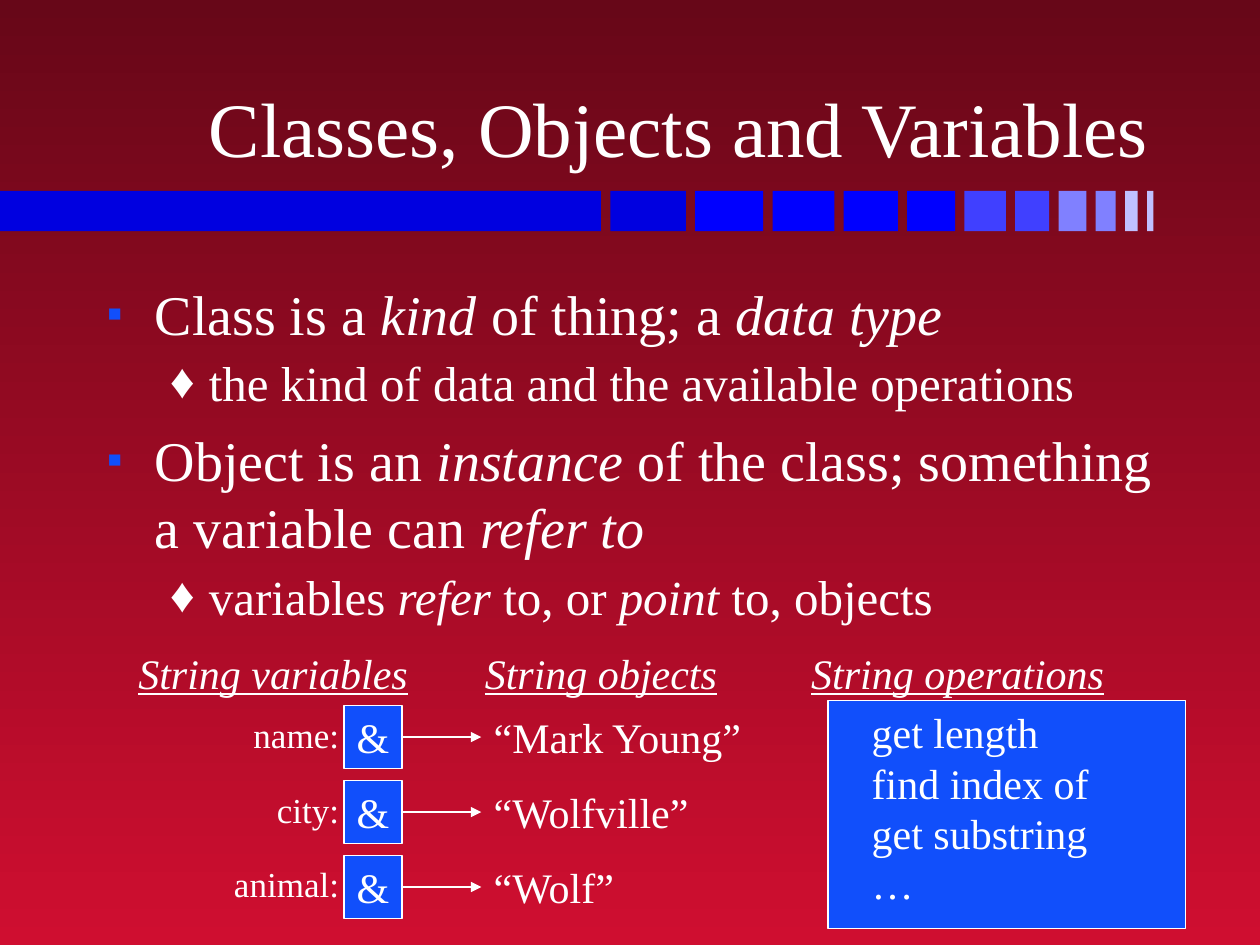
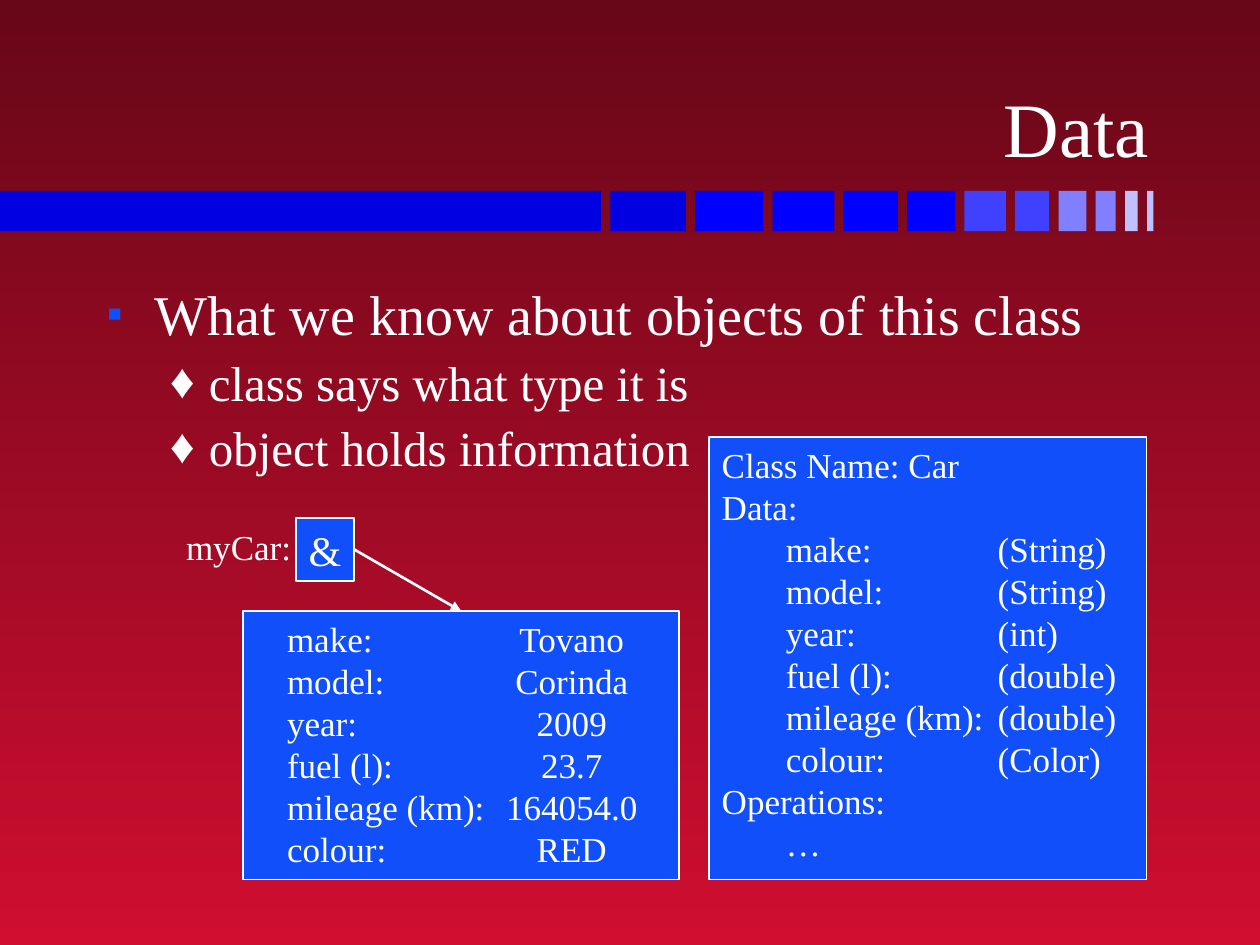
from dataclasses import dataclass
from typing import NamedTuple

from lxml.etree import SubElement
from pptx import Presentation
from pptx.dml.color import RGBColor
from pptx.enum.shapes import MSO_CONNECTOR, MSO_SHAPE
from pptx.enum.text import MSO_ANCHOR as Anchor, PP_ALIGN as Align
from pptx.oxml.ns import qn
from pptx.util import Inches, Length, Pt

FONT = "Times New Roman"
WHITE = "FFFFFF"
BLUE = "114FFB"
BACKGROUND = ("670718", "CF0E30")

# The slide is a grid of 100 columns and 75 rows.
SLIDE_WIDTH, SLIDE_HEIGHT = Inches(10), Inches(7.5)
COLUMN, ROW = SLIDE_WIDTH / 100, SLIDE_HEIGHT / 75

BAND_ROW, BAND_HEIGHT, BAND_GAP = 15.15, 3.2, 0.74
BAND_BLOCKS = (
    (47.7, "0000E0"), (6, "0000E0"),
    (5.4, "0000FF"), (4.9, "0000FF"), (4.3, "0000FF"), (3.8, "0000FF"),
    (3.3, "4040FF"), (2.7, "4040FF"),
    (2.2, "8080FF"), (1.6, "8080FF"),
    (1, "C0C0FF"), (0.5, "C0C0FF"),
)

REFERENCE_WIDTH, REFERENCE_HEIGHT = 4.6, 5
LABEL_WIDTH, LABEL_OVERLAP = 11, 0.6


class Place(NamedTuple):
    column: float
    row: float
    width: float
    height: float

    def lengths(self) -> tuple[Length, ...]:
        units = (COLUMN, ROW, COLUMN, ROW)
        return tuple(Length(round(size * unit)) for size, unit in zip(self, units))


TITLE_PLACE = Place(7.4, 1.9, 84.8, 12.3)
BODY_PLACE = Place(7.5, 21.7, 85, 45)


@dataclass(frozen=True)
class BulletStyle:
    mark: str
    mark_percent: int
    colour: str
    size: float
    left: float
    hanging: float
    before: float


BULLETS = (
    BulletStyle("▪", 80, BLUE, 32, 0.38, 0.38, 8),
    BulletStyle("♦", 100, WHITE, 28, 0.81, 0.31, 3.5),
)


class Point(NamedTuple):
    """A bullet line; words between asterisks are italic."""
    level: int
    text: str


class Tab(NamedTuple):
    inches: float
    align: str = "l"


@dataclass(frozen=True)
class Panel:
    place: Place
    size: float
    tabs: tuple[Tab, ...]
    lines: tuple[str, ...]


@dataclass(frozen=True)
class Variable:
    name: str
    column: float
    row: float

    @property
    def arrow_start(self) -> tuple[float, float]:
        return self.column + REFERENCE_WIDTH, self.row + REFERENCE_HEIGHT / 2


def rgb(colour: str) -> RGBColor:
    return RGBColor.from_string(colour)


def format_runs(paragraph, size: float) -> None:
    for span in paragraph.runs:
        span.font.name = FONT
        span.font.size = Pt(size)
        span.font.color.rgb = rgb(WHITE)


def add_text(page, place: Place, text: str, size: float, align=Align.LEFT,
             underlined_italic: bool = False) -> None:
    frame = page.shapes.add_textbox(*place.lengths()).text_frame
    frame.word_wrap = True
    frame.text = text
    paragraph = frame.paragraphs[0]
    paragraph.alignment = align
    format_runs(paragraph, size)
    if underlined_italic:
        paragraph.runs[0].font.italic = True
        paragraph.runs[0].font.underline = True


def add_rectangle(page, place: Place, fill: str, outlined: bool = False):
    box = page.shapes.add_shape(MSO_SHAPE.RECTANGLE, *place.lengths())
    box.shadow.inherit = False
    box.fill.solid()
    box.fill.fore_color.rgb = rgb(fill)
    if outlined:
        box.line.color.rgb = rgb(WHITE)
        box.line.width = Pt(1)
    else:
        box.line.fill.background()
    box.text_frame.vertical_anchor = Anchor.TOP
    return box


def add_band(page) -> None:
    column = 0
    for width, colour in BAND_BLOCKS:
        add_rectangle(page, Place(column, BAND_ROW, width, BAND_HEIGHT), colour)
        column += width + BAND_GAP


def add_bullet(paragraph, style: BulletStyle) -> None:
    properties = paragraph._p.get_or_add_pPr()
    properties.set("marL", str(Inches(style.left)))
    properties.set("indent", str(-Inches(style.hanging)))
    colour = SubElement(properties, qn("a:buClr"))
    SubElement(colour, qn("a:srgbClr"), val=style.colour)
    SubElement(properties, qn("a:buSzPct"), val=str(style.mark_percent * 1000))
    SubElement(properties, qn("a:buFont"), typeface=FONT)
    SubElement(properties, qn("a:buChar"), char=style.mark)


def add_body(page, points: tuple[Point, ...]) -> None:
    frame = page.shapes.add_textbox(*BODY_PLACE.lengths()).text_frame
    frame.word_wrap = True
    for index, point in enumerate(points):
        style = BULLETS[point.level]
        paragraph = frame.add_paragraph() if index else frame.paragraphs[0]
        paragraph.level = point.level
        add_bullet(paragraph, style)
        if index:
            paragraph.space_before = Pt(style.before)
        for part_index, part in enumerate(point.text.split("*")):
            if part:
                span = paragraph.add_run()
                span.text = part
                span.font.italic = part_index % 2 == 1
        format_runs(paragraph, style.size)


def add_panel(page, panel: Panel) -> None:
    frame = add_rectangle(page, panel.place, BLUE, outlined=True).text_frame
    frame.word_wrap = True
    frame.text = "\n".join(panel.lines)
    for paragraph in frame.paragraphs:
        tab_list = SubElement(paragraph._p.get_or_add_pPr(), qn("a:tabLst"))
        for tab in panel.tabs:
            SubElement(tab_list, qn("a:tab"), pos=str(Inches(tab.inches)), algn=tab.align)
        paragraph.alignment = Align.LEFT
        format_runs(paragraph, panel.size)


def add_arrow(page, start: tuple[float, float], end: tuple[float, float]) -> None:
    ends = Place(*start, *end).lengths()
    arrow = page.shapes.add_connector(MSO_CONNECTOR.STRAIGHT, *ends)
    arrow.line.color.rgb = rgb(WHITE)
    arrow.line.width = Pt(1.5)
    properties = arrow.element.spPr
    SubElement(properties.find(qn("a:ln")), qn("a:tailEnd"), type="triangle")
    SubElement(properties, qn("a:effectLst"))


def add_variable(page, variable: Variable, target: tuple[float, float]) -> None:
    """Draw a labelled reference box and the arrow to its object."""
    place = Place(variable.column, variable.row, REFERENCE_WIDTH, REFERENCE_HEIGHT)
    frame = add_rectangle(page, place, BLUE, outlined=True).text_frame
    frame.word_wrap = False
    frame.text = "&"
    frame.paragraphs[0].alignment = Align.CENTER
    format_runs(frame.paragraphs[0], 24)
    label_column = variable.column + LABEL_OVERLAP - LABEL_WIDTH
    label_place = Place(label_column, variable.row + 0.1, LABEL_WIDTH, 4.4)
    add_text(page, label_place, f"{variable.name}:", 20, Align.RIGHT)
    add_arrow(page, variable.arrow_start, target)


def add_page(deck, title: str, points: tuple[Point, ...]):
    page = deck.slides.add_slide(deck.slide_layouts[5])
    add_band(page)
    heading = page.shapes.title
    heading.left, heading.top, heading.width, heading.height = TITLE_PLACE.lengths()
    frame = heading.text_frame
    frame.text = title
    frame.vertical_anchor = Anchor.BOTTOM
    frame.paragraphs[0].alignment = Align.RIGHT
    format_runs(frame.paragraphs[0], 44)
    add_body(page, points)
    return page


def add_classes_page(deck) -> None:
    page = add_page(deck, "Classes, Objects and Variables", (
        Point(0, "Class is a *kind* of thing; a *data type*"),
        Point(1, "the kind of data and the available operations"),
        Point(0, "Object is an *instance* of the class; something a variable can *refer to*"),
        Point(1, "variables *refer* to, or *point* to, objects"),
    ))
    for column, heading in ((10, "String variables"), (37.5, "String objects"),
                            (63.4, "String operations")):
        add_text(page, Place(column, 50.9, 26, 5), heading, 24, underlined_italic=True)

    first_row, row_step, object_column = 56, 5.95, 38.2
    strings = (("name", "“Mark Young”"), ("city", "“Wolfville”"), ("animal", "“Wolf”"))
    for index, (name, value) in enumerate(strings):
        variable = Variable(name, 27.3, first_row + index * row_step)
        add_variable(page, variable, (object_column, variable.arrow_start[1]))
        add_text(page, Place(object_column, variable.row, 23, 5), value, 24)

    operations = ("get length", "find index of", "get substring", "…")
    add_panel(page, Panel(Place(65.7, 55.6, 28.4, 18.1), 24, (Tab(0.25),),
                          tuple(f"\t{operation}" for operation in operations)))


def add_data_page(deck) -> None:
    page = add_page(deck, "Data", (
        Point(0, "What we know about objects of this class"),
        Point(1, "class says what type it is"),
        Point(1, "object holds information"),
    ))
    fields = (
        ("make", "String", "Tovano"),
        ("model", "String", "Corinda"),
        ("year", "int", "2009"),
        ("fuel (l)", "double", "23.7"),
        ("mileage (km)", "double", "164054.0"),
        ("colour", "Color", "RED"),
    )
    types = tuple(f"\t{name}:\t({kind})" for name, kind, _ in fields)
    values = tuple(f"\t{name}:\t{value}" for name, _, value in fields)
    add_panel(page, Panel(Place(56.3, 34.7, 34.7, 35.1), 20, (Tab(0.51), Tab(2.19)),
                          ("Class Name: Car", "Data:", *types, "Operations:", "\t…")))
    car = Panel(Place(19.3, 48.5, 34.6, 21.3), 20, (Tab(0.25), Tab(2.51, "ctr")), values)
    add_panel(page, car)
    car_top = (car.place.column + car.place.width / 2, car.place.row)
    add_variable(page, Variable("myCar", 23.5, 41.1), car_top)


def main() -> None:
    deck = Presentation()
    deck.slide_width, deck.slide_height = SLIDE_WIDTH, SLIDE_HEIGHT
    fill = deck.slide_master.background.fill
    fill.gradient()
    fill.gradient_angle = 270
    for stop, colour in zip(fill.gradient_stops, BACKGROUND):
        stop.color.rgb = rgb(colour)
    add_classes_page(deck)
    add_data_page(deck)
    deck.save("out.pptx")


if __name__ == "__main__":
    main()
